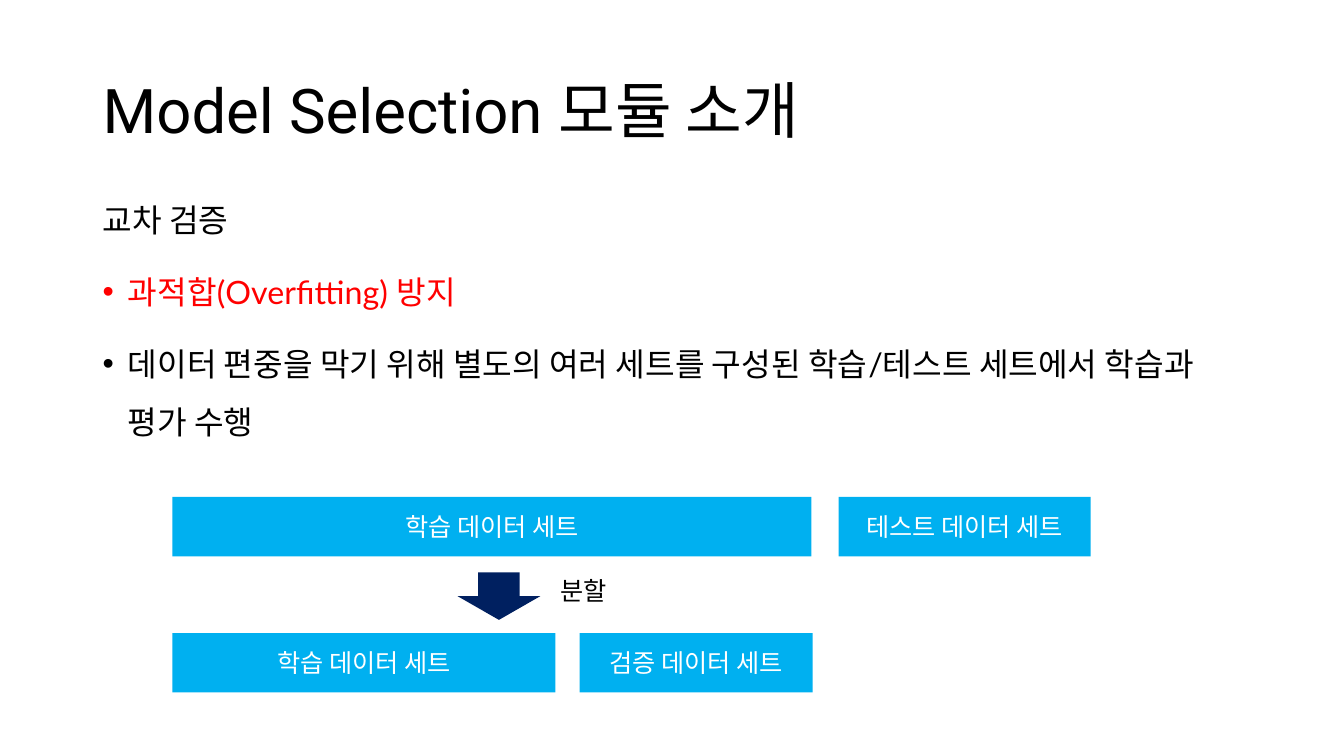
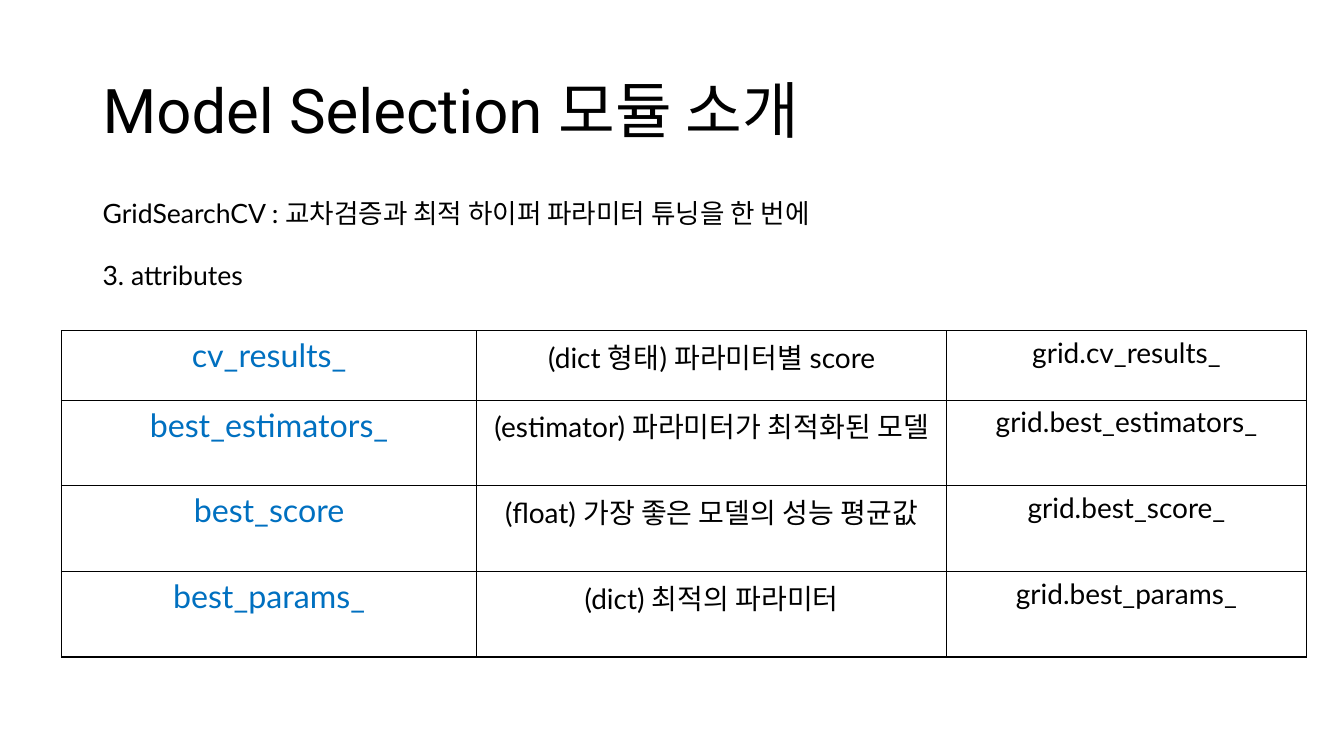
from lxml.etree import SubElement
from pptx import Presentation
from pptx.dml.color import RGBColor
from pptx.enum.shapes import MSO_SHAPE
from pptx.enum.text import MSO_ANCHOR, PP_ALIGN
from pptx.oxml.ns import qn
from pptx.util import Inches, Pt

BLACK = RGBColor(0x00, 0x00, 0x00)
WHITE = RGBColor(0xFF, 0xFF, 0xFF)
RED = RGBColor(0xFF, 0x00, 0x00)
SKY = RGBColor(0x00, 0xB0, 0xF0)
NAVY = RGBColor(0x00, 0x20, 0x60)
BLUE = RGBColor(0x00, 0x70, 0xC0)

TITLE_FONT, BODY_FONT = "Roboto", "Lato"
TITLE = "Model Selection 모듈 소개"

presentation = Presentation()
presentation.slide_width = Inches(13.33)
presentation.slide_height = Inches(7.5)

# Grid of 100 columns by 100 rows
COLUMN = presentation.slide_width / 100
ROW = presentation.slide_height / 100
MARGIN, CONTENT_WIDTH = 6.9, 86.25
BODY_TOP = 23.33
INDENT = Inches(0.25)


def area(left, top, width, height):
    """Turn grid columns and rows into slide lengths."""
    return int(left * COLUMN), int(top * ROW), int(width * COLUMN), int(height * ROW)


def write(paragraph, text, size, color=BLACK, font=BODY_FONT):
    """Add the text run by run, with a line break at each newline."""
    for number, line in enumerate(text.split("\n")):
        if number:
            paragraph.add_line_break()
        run = paragraph.add_run()
        run.text = line
        run.font.size = Pt(size)
        run.font.name = font
        run.font.color.rgb = color


# Title and body of both slides: (text, colour, bulleted)
pages = [
    (23, CONTENT_WIDTH, 65.07, [
        ("교차 검증", BLACK, False),
        ("과적합(Overfitting) 방지", RED, True),
        ("데이터 편중을 막기 위해 별도의 여러 세트를 구성된 학습/테스트 세트에서 학습과 \n평가 수행",
         BLACK, True),
    ]),
    (19, 88, 68.13, [
        ("GridSearchCV : 교차검증과 최적 하이퍼 파라미터 튜닝을 한 번에", BLACK, False),
        ("3. attributes", BLACK, False),
    ]),
]
slides = []
for size, width, height, lines in pages:
    slide = presentation.slides.add_slide(presentation.slide_layouts[6])
    slides.append(slide)

    title = slide.shapes.add_textbox(*area(MARGIN, 5.33, CONTENT_WIDTH, 19.33)).text_frame
    title.word_wrap = True
    title.vertical_anchor = MSO_ANCHOR.MIDDLE
    title.paragraphs[0].line_spacing = 0.9
    write(title.paragraphs[0], TITLE, 44, font=TITLE_FONT)

    body = slide.shapes.add_textbox(*area(MARGIN, BODY_TOP, width, height)).text_frame
    body.word_wrap = True
    for number, (text, color, bulleted) in enumerate(lines):
        paragraph = body.add_paragraph() if number else body.paragraphs[0]
        paragraph.line_spacing = 1.5
        paragraph.space_before = Pt(10)
        write(paragraph, text, size, color)
        if bulleted:
            properties = paragraph._p.get_or_add_pPr()
            properties.set("marL", str(INDENT))
            properties.set("indent", str(-INDENT))
            SubElement(properties, qn("a:buFont"), typeface="Arial")
            SubElement(properties, qn("a:buChar"), char="•")

split_slide, attributes_slide = slides

# Slide 1: how the data sets are split
BAR_LEFT, BAR_HEIGHT = 12.83, 7.87
WHOLE_TOP, SPLIT_TOP = 65.73, 83.73
bars = [
    ("학습 데이터 세트", BAR_LEFT, WHOLE_TOP, 47.55),
    ("테스트 데이터 세트", 62.4, WHOLE_TOP, 18.75),
    ("학습 데이터 세트", BAR_LEFT, SPLIT_TOP, 28.5),
    ("검증 데이터 세트", 43.13, SPLIT_TOP, 17.33),
]
for text, left, top, width in bars:
    bar = split_slide.shapes.add_shape(
        MSO_SHAPE.RECTANGLE, *area(left, top, width, BAR_HEIGHT))
    bar.shadow.inherit = False
    bar.fill.solid()
    bar.fill.fore_color.rgb = SKY
    bar.line.fill.background()
    bar.text_frame.vertical_anchor = MSO_ANCHOR.MIDDLE
    paragraph = bar.text_frame.paragraphs[0]
    paragraph.alignment = PP_ALIGN.CENTER
    write(paragraph, text, 18, WHITE)

arrow = split_slide.shapes.add_shape(MSO_SHAPE.DOWN_ARROW, *area(34.05, 75.73, 6.15, 6.27))
arrow.shadow.inherit = False
arrow.fill.solid()
arrow.fill.fore_color.rgb = NAVY
arrow.line.fill.background()

label = split_slide.shapes.add_textbox(*area(40.95, 75.47, 13.13, 5.33)).text_frame
label.word_wrap = True
write(label.paragraphs[0], "분할", 18)

# Slide 2: table of attributes
COLUMN_WIDTHS = [30.9, 34.95, 26.78]
ROW_HEIGHTS = [9.2, 11.33, 11.33, 11.33]
CELL_STYLES = [(23, BLUE), (20, BLACK), (20, BLACK)]
attributes = [
    ("cv_results_", "(dict 형태) 파라미터별 score", "grid.cv_results_"),
    ("best_estimators_", "(estimator) 파라미터가 최적화된 모델", "grid.best_estimators_"),
    ("best_score", "(float) 가장 좋은 모델의 성능 평균값", "grid.best_score_"),
    ("best_params_", "(dict) 최적의 파라미터", "grid.best_params_"),
]
table = attributes_slide.shapes.add_table(
    len(attributes), len(COLUMN_WIDTHS),
    *area(4.58, 43.73, sum(COLUMN_WIDTHS), sum(ROW_HEIGHTS))).table
table.first_row = False
table.horz_banding = False
for table_column, width in zip(table.columns, COLUMN_WIDTHS):
    table_column.width = int(width * COLUMN)
for table_row, height, texts in zip(table.rows, ROW_HEIGHTS, attributes):
    table_row.height = int(height * ROW)
    for cell, text, (size, color) in zip(table_row.cells, texts, CELL_STYLES):
        paragraph = cell.text_frame.paragraphs[0]
        paragraph.alignment = PP_ALIGN.CENTER
        write(paragraph, text, size, color)
        properties = cell._tc.get_or_add_tcPr()
        for side in ("a:lnL", "a:lnR", "a:lnT", "a:lnB"):
            border = SubElement(properties, qn(side), w=str(Pt(1)))
            border_fill = SubElement(border, qn("a:solidFill"))
            SubElement(border_fill, qn("a:srgbClr"), val=str(BLACK))
        cell.fill.background()

presentation.save("out.pptx")
